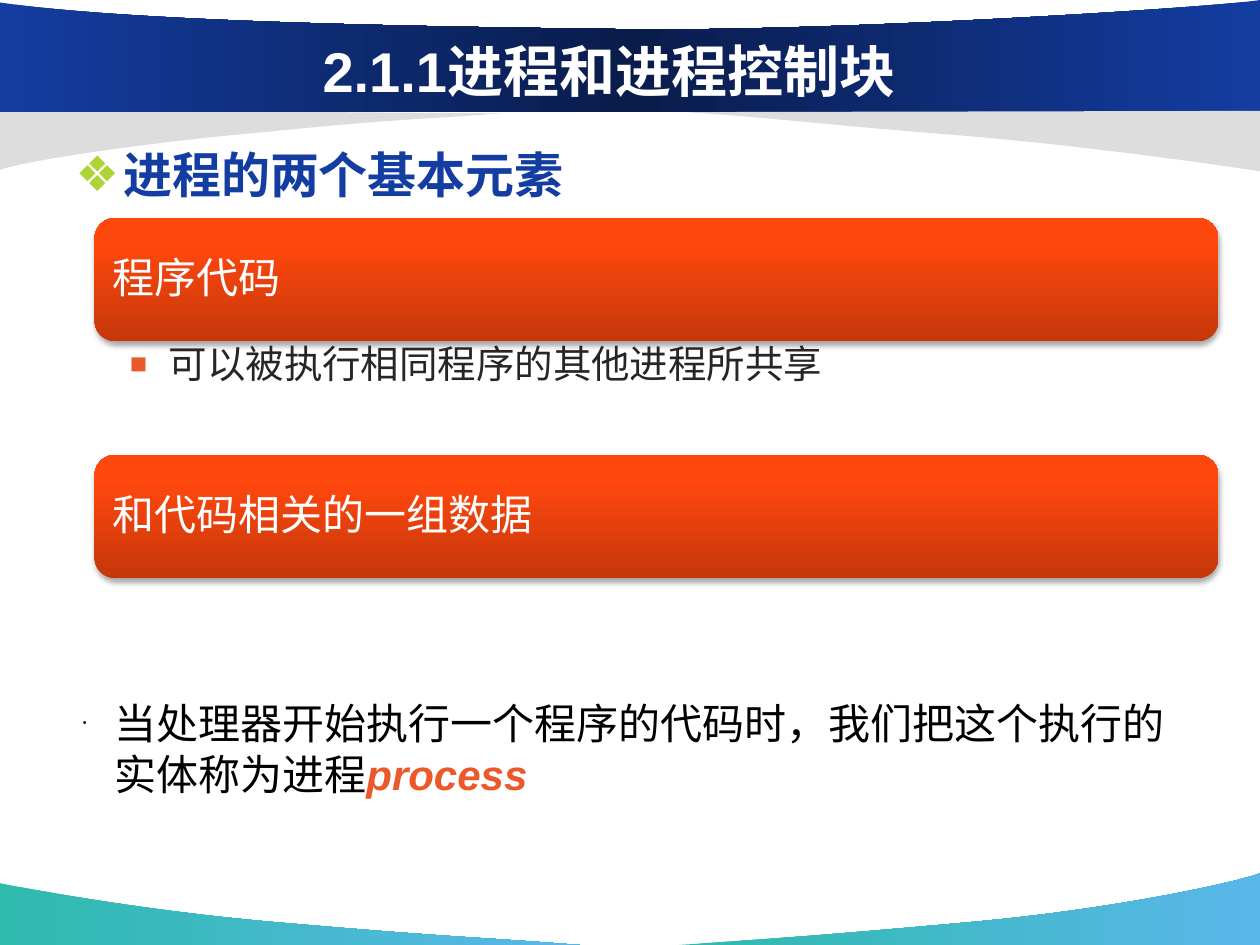
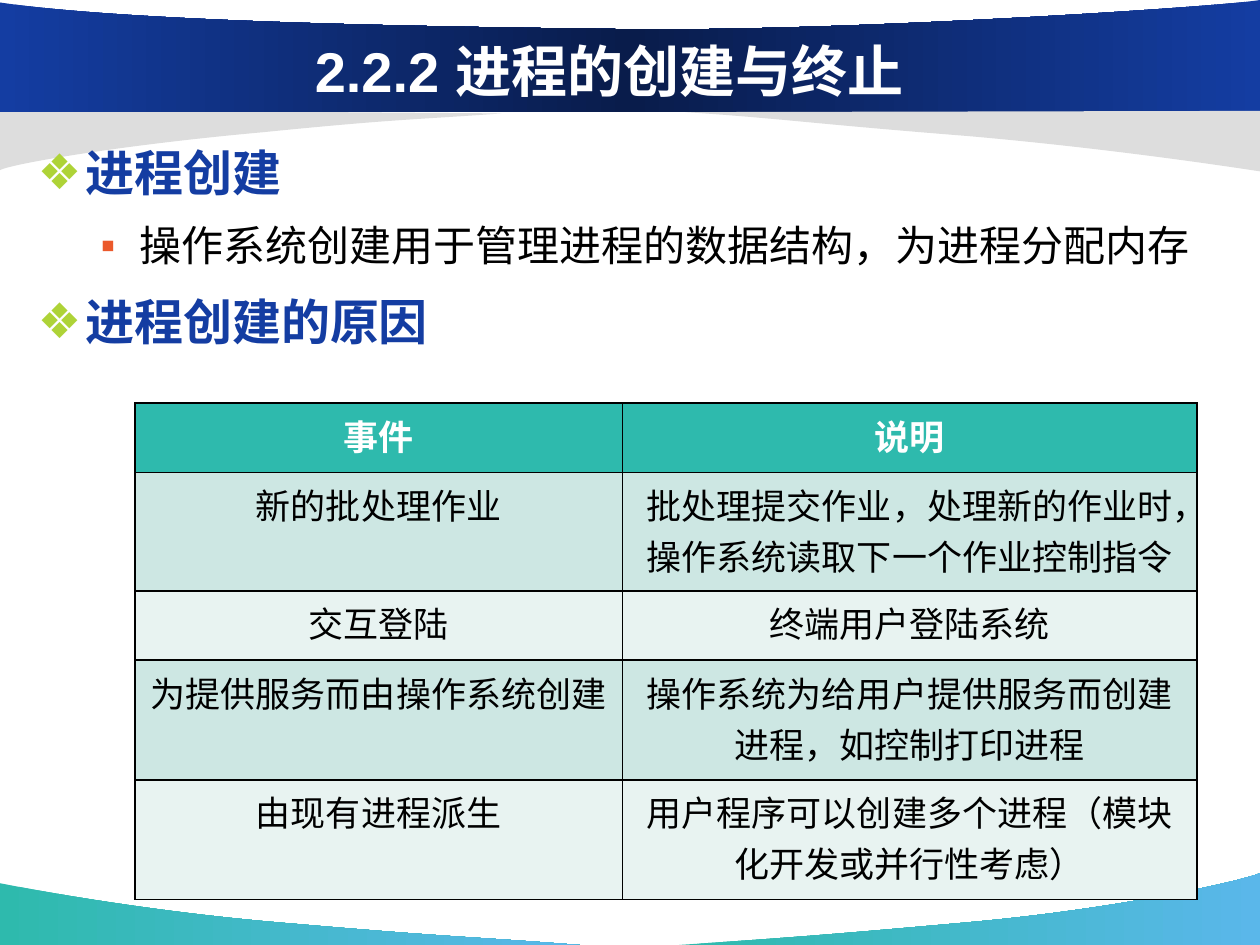
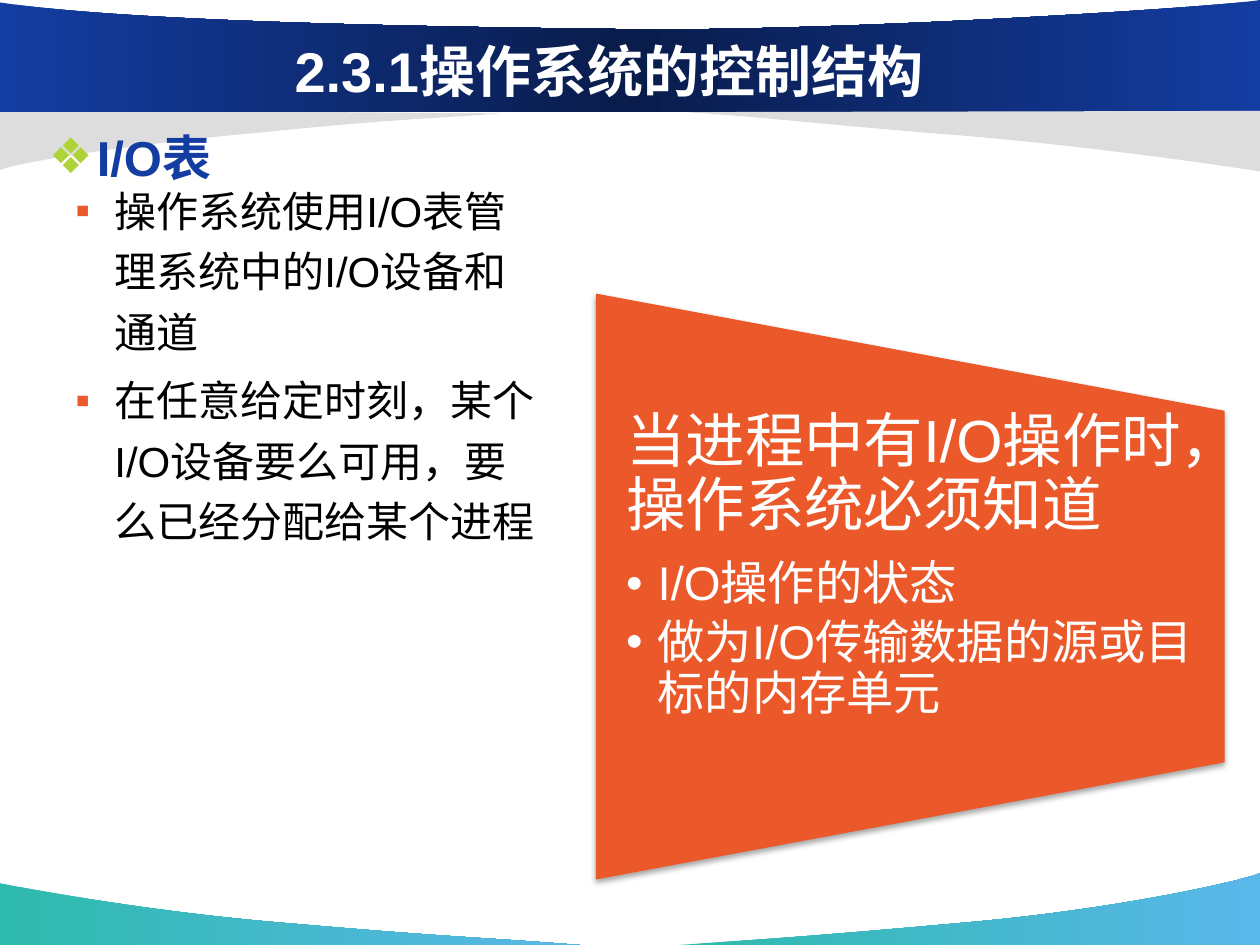
from lxml.etree import SubElement as Sub
from pptx import Presentation
from pptx.dml.color import RGBColor
from pptx.enum.shapes import MSO_SHAPE as Kind
from pptx.enum.text import MSO_ANCHOR as Anchor, PP_ALIGN as Align
from pptx.oxml.ns import qn
from pptx.util import Inches, Pt

BLUE, NAVY, TEAL, SKY = "143DA2", "091C4B", "2EBAAD", "5AB7EA"
GREEN, ORANGE, GRAY = "AED337", "EB592B", "DDDDDD"
WHITE, BLACK, INK = "FFFFFF", "000000", "262626"
FIRE = [(0, "C5370B"), (80, "FF480E"), (100, "FF4910")]
SEA = [(0, TEAL), (100, SKY)]
DEEP = [(0, BLUE), (50, NAVY), (100, BLUE)]
PALE = ["E8F3F1", "CDE7E3"]

# Paragraph styles: bullet is (char, colour, percent), dent is (left, hanging)
HEAD = dict(size=28, color=BLUE, bold=True, bullet=("❖", GREEN, 100),
            dent=(0.38, 0.38), lead=1.2)
ITEM = dict(size=24, color=BLACK, bullet=("▪", ORANGE, 100),
            dent=(0.81, 0.31), lead=1.2)

# Bands: each step is a corner (2 numbers) or a Bezier curve (6 numbers)
BANDS = [
    (SEA, [(4.6, 7.5), (3.84, 7.44, 3.58, 7.44, 2.32, 7.33),
           (1.06, 7.23, 0.01, 7.01, 0, 7.01), (0, 7.5)]),
    (SEA, [(5.39, 7.5), (6.14, 7.45, 6.46, 7.43, 7.69, 7.32),
           (8.92, 7.21, 9.9, 6.98, 10, 6.93), (10, 7.5)]),
    (GRAY, [(3.98, 0.9), (3.31, 0.95, 3.18, 0.94, 2.08, 1.05),
            (0.97, 1.15, 0.09, 1.3, 0, 1.35), (0, 0.87)]),
    (DEEP, [(0, 0.89), (10, 0.89), (10, 0),
            (9.64, 0.06, 6.53, 0.26, 4.87, 0.23),
            (3.21, 0.21, 1.01, 0.17, 0, 0.02)]),
    (GRAY, [(5.44, 0.89), (6.2, 0.94, 6.42, 0.98, 7.68, 1.08),
            (8.94, 1.19, 9.99, 1.36, 10, 1.36), (10, 0.88)]),
]


def rgb(code):
    return RGBColor.from_string(code)


def node(up, tag, **attrs):
    return Sub(up, qn(tag), {k: str(v) for k, v in attrs.items()})


def paint(shape, fill, angle=0):
    """Fill with one colour or a list of gradient stops; no line, no shadow."""
    shape.shadow.inherit = False
    shape.line.fill.background()
    if isinstance(fill, str):
        shape.fill.solid()
        shape.fill.fore_color.rgb = rgb(fill)
        return
    shape.fill.gradient()
    shape.fill.gradient_angle = angle
    stops = shape._element.spPr.find(qn("a:gradFill")).find(qn("a:gsLst"))
    for old in list(stops):
        stops.remove(old)
    for pos, code in fill:
        stop = node(stops, "a:gs", pos=pos * 1000)
        node(stop, "a:srgbClr", val=code)


def shade(shape):
    glow = node(shape._element.spPr.find(qn("a:effectLst")), "a:outerShdw",
                blurRad=Pt(3.1), dist=Pt(1.8), dir=5400000, rotWithShape=0)
    node(node(glow, "a:srgbClr", val=BLACK), "a:alpha", val=35000)


def setup(frame, pads=(0.1, 0.05, 0.1, 0.05), anchor=Anchor.TOP):
    frame.word_wrap = True
    frame.vertical_anchor = anchor
    (frame.margin_left, frame.margin_top,
     frame.margin_right, frame.margin_bottom) = map(Inches, pads)
    return frame


def text(slide, box, **opts):
    return setup(slide.shapes.add_textbox(*map(Inches, box)).text_frame, **opts)


def para(frame, words, size, color, bold=False, bullet=None, dent=None,
         lead=1.0, before=0, after=0, align=Align.LEFT, face="Arial"):
    par = frame.paragraphs[0]
    if par.runs:
        par = frame.add_paragraph()
    par.add_run().text = words
    par.alignment, par.line_spacing = align, lead
    if before:
        par.space_before = Pt(before)
    if after:
        par.space_after = Pt(after)
    if bullet:
        char, tint, share = bullet
        props = par._p.get_or_add_pPr()
        props.set("marL", str(Inches(dent[0])))
        props.set("indent", str(-Inches(dent[1])))
        node(node(props, "a:buClr"), "a:srgbClr", val=tint)
        node(props, "a:buSzPct", val=share * 1000)
        node(props, "a:buFont", typeface="Arial")
        node(props, "a:buChar", char=char)
    font = par.font
    font.name, font.size, font.bold = face, Pt(size), bold
    font.color.rgb = rgb(color)
    return par


def band(slide, fill, steps):
    """Draw an outline of corners and curves, in hundredths of an inch."""
    pts = [(round(x * 100), round(y * 100))
           for step in steps for x, y in zip(step[::2], step[1::2])]
    pen = slide.shapes.build_freeform(*pts[0], scale=Inches(1) / 100)
    pen.add_line_segments(pts[1:], close=True)
    shape = pen.convert_to_shape()
    # Join the three lines of each curve into one Bezier
    track = next(shape._element.iter(qn("a:path")))
    lines = iter(track.findall(qn("a:lnTo")))
    for step in steps[1:]:
        first = next(lines)
        if len(step) == 6:
            first.tag = qn("a:cubicBezTo")
            for line in (next(lines), next(lines)):
                first.append(line[0])
                track.remove(line)
    paint(shape, fill)


def base(deck, title):
    slide = deck.slides.add_slide(deck.slide_layouts[6])
    for fill, steps in BANDS:
        band(slide, fill, steps)
    frame = text(slide, (0.92, 0.25, 7.83, 0.62), anchor=Anchor.MIDDLE)
    para(frame, title, 32, WHITE, bold=True, align=Align.CENTER)
    return slide


def bars(slide, box, items):
    """Stack red bars, each with an optional note below it."""
    x, y, w, step = box
    tall = 0.98
    for i, (name, note) in enumerate(items):
        top = y + i * step
        bar = slide.shapes.add_shape(Kind.ROUNDED_RECTANGLE,
                                     *map(Inches, (x, top, w, tall)))
        paint(bar, FIRE, 90)
        shade(bar)
        frame = setup(bar.text_frame, (0.1, 0.1, 0.1, 0.1), Anchor.MIDDLE)
        para(frame, name, 24, WHITE, lead=0.9)
        if note:
            frame = text(slide, (x, top + tall, w, 0.87),
                         pads=(0.28, 0.03, 0.17, 0.03))
            para(frame, note, 22, INK, bullet=("■", ORANGE, 75),
                 dent=(0.31, 0.31), lead=0.9)


def grid(slide, box, cols, rows, data):
    """Draw the table with a teal head and banded rows."""
    table = slide.shapes.add_table(len(rows), len(cols),
                                   *map(Inches, box)).table
    table.horz_banding = False
    for col, w in zip(table.columns, cols):
        col.width = Inches(w)
    for r, (row, tall) in enumerate(zip(table.rows, rows)):
        row.height = Inches(tall)
        for cell, words in zip(row.cells, data[r]):
            para(cell.text_frame, words, 20, BLACK if r else WHITE,
                 bold=r == 0, align=Align.CENTER, face="Times New Roman")
            props = cell._tc.get_or_add_tcPr()
            for side in "LRTB":
                edge = node(props, f"a:ln{side}", w=Pt(1))
                node(node(edge, "a:solidFill"), "a:srgbClr", val=BLACK)
            cell.fill.solid()
            cell.fill.fore_color.rgb = rgb(PALE[r % 2] if r else TEAL)


def panel(slide, box, head, points):
    """Draw the sideways trapezoid and the text in its middle."""
    x, y, w, h = box
    # The shape is turned a quarter, so its sides swap about the centre
    turned = (x + (w - h) / 2, y + (h - w) / 2, h, w)
    shape = slide.shapes.add_shape(Kind.FLOWCHART_MANUAL_OPERATION,
                                   *map(Inches, turned))
    shape.rotation = 270
    paint(shape, ORANGE)
    shade(shape)
    frame = text(slide, (x, y + h / 5, w, h * 3 / 5), pads=(0.24, 0, 0.24, 0))
    para(frame, head, 34, WHITE, lead=0.9, after=11.9)
    for point in points:
        para(frame, point, 27, WHITE, bullet=("•", WHITE, 100),
             dent=(0.25, 0.25), lead=0.9, after=4)


def parts(deck):
    slide = base(deck, "2.1.1进程和进程控制块")
    frame = text(slide, (0.5, 1.15, 9, 0.55))
    para(frame, "进程的两个基本元素", **{**HEAD, "lead": 0.9})
    bars(slide, (0.75, 1.73, 8.92, 1.88),
         [("程序代码", "可以被执行相同程序的其他进程所共享"),
          ("和代码相关的一组数据", None)])
    # Closing definition
    frame = text(slide, (0.5, 5.49, 9, 0.95))
    par = para(frame, "当处理器开始执行一个程序的代码时，我们把这个执行的实体称为进程",
               24, BLACK, bullet=("•", BLACK, 25), dent=(0.31, 0.25))
    term = par.add_run()
    term.text = "process"
    term.font.bold = term.font.italic = True
    term.font.color.rgb = rgb(ORANGE)


def births(deck):
    slide = base(deck, "2.2.2 进程的创建与终止")
    frame = text(slide, (0.2, 0.99, 9.53, 1.9))
    para(frame, "进程创建", **HEAD)
    para(frame, "操作系统创建用于管理进程的数据结构，为进程分配内存",
         before=4.8, **ITEM)
    para(frame, "进程创建的原因", before=5.6, **HEAD)
    grid(slide, (1.07, 3.2, 8.43, 3.94), [3.87, 4.56],
         [0.55, 0.94, 0.55, 0.95, 0.95],
         [("事件", "说明"),
          ("新的批处理作业", "批处理提交作业，处理新的作业时，操作系统读取下一个作业控制指令"),
          ("交互登陆", "终端用户登陆系统"),
          ("为提供服务而由操作系统创建", "操作系统为给用户提供服务而创建进程，如控制打印进程"),
          ("由现有进程派生", "用户程序可以创建多个进程（模块化开发或并行性考虑）")])


def tables(deck):
    slide = base(deck, "2.3.1操作系统的控制结构")
    para(text(slide, (0.29, 0.87, 9, 0.65)), "I/O表", **HEAD)
    frame = text(slide, (0, 1.34, 4.42, 5.42))
    para(frame, "操作系统使用I/O表管理系统中的I/O设备和通道", **ITEM)
    para(frame, "在任意给定时刻，某个I/O设备要么可用，要么已经分配给某个进程",
         before=4.8, **ITEM)
    panel(slide, (4.73, 2.33, 4.99, 4.65),
          "当进程中有I/O操作时，操作系统必须知道",
          ["I/O操作的状态", "做为I/O传输数据的源或目标的内存单元"])


def main():
    deck = Presentation()
    deck.slide_width, deck.slide_height = Inches(10), Inches(7.5)
    for build in (parts, births, tables):
        build(deck)
    deck.save("out.pptx")


if __name__ == "__main__":
    main()
